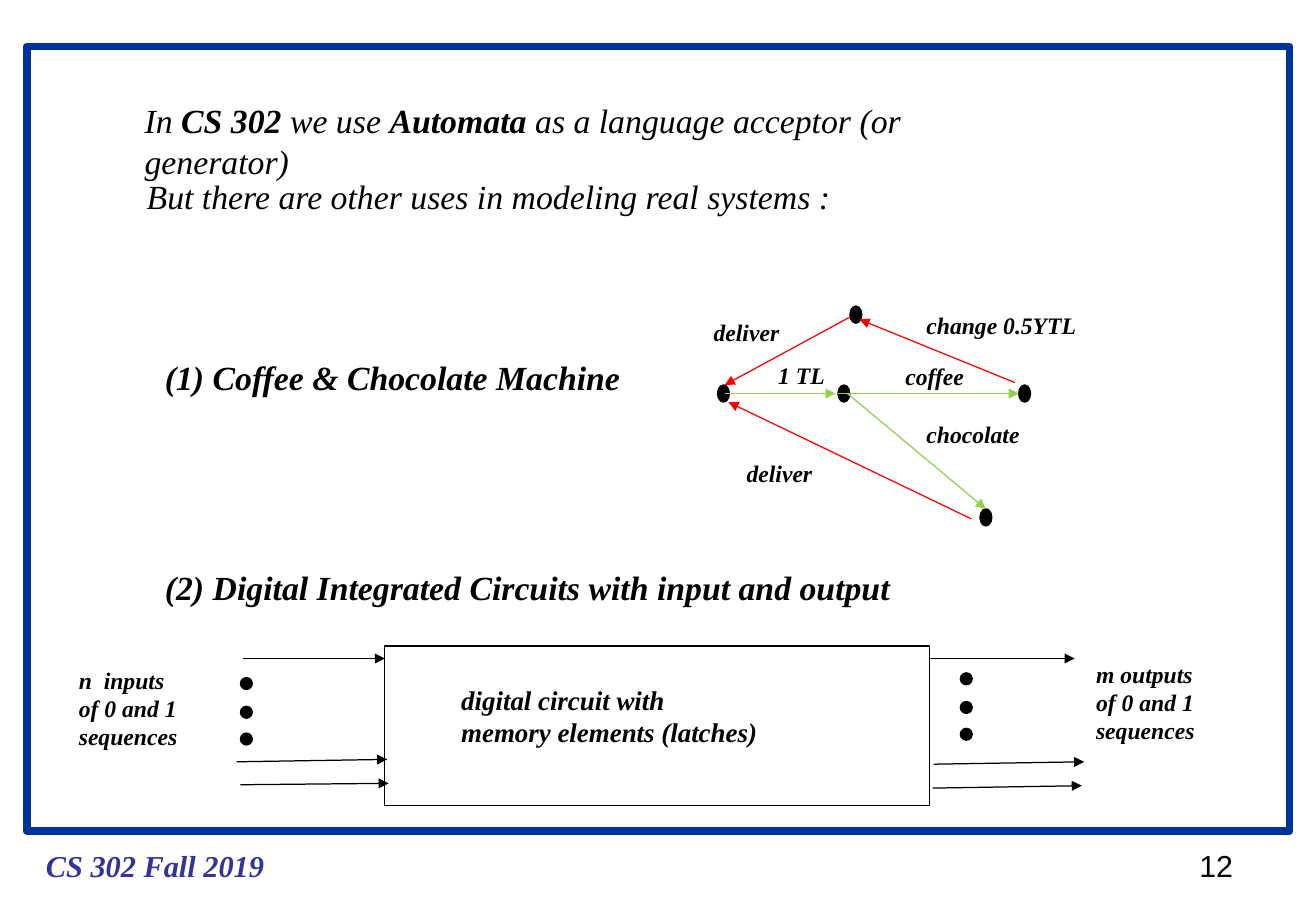
from typing import NamedTuple

from lxml.etree import SubElement
from pptx import Presentation
from pptx.dml.color import RGBColor
from pptx.enum.shapes import MSO_CONNECTOR as Link, MSO_SHAPE as Preset
from pptx.enum.text import MSO_ANCHOR, MSO_AUTO_SIZE, PP_ALIGN
from pptx.oxml.ns import qn
from pptx.util import Cm, Pt

BLACK, WHITE, RED, GREEN = "000000", "FFFFFF", "FF0000", "92D050"
NAVY, VIOLET = "003399", "333399"
SERIF, SANS = "Times New Roman", "Arial"


class Label(NamedTuple):
    """Text in a box; parts between asterisks are bold."""
    text: str
    left: float
    top: float
    width: float
    height: float = 0.86
    size: int = 14
    bold: bool = True
    italic: bool = True
    color: str = BLACK
    face: str = SERIF


class Arrow(NamedTuple):
    x1: float
    y1: float
    x2: float
    y2: float
    color: str = BLACK


class Dot(NamedTuple):
    left: float
    top: float
    height: float = 0.25


OPENING = Label("In *CS 302* we use *Automata *as a language acceptor (or generator)",
                2.77, 1.96, 19.53, 1.12, 20, bold=False)
LABELS = [
    Label("CS 302 Fall 2019", 0.71, 17.6, 5.08, 1.02, 18, color=VIOLET),
    Label("12", 24.84, 17.6, 1.22, 1.02, 18, False, False, face=SANS),
    Label("But there are other uses in modeling real systems :",
          2.82, 3.56, 14.88, 1.12, 20, bold=False),
    Label("(1) Coffee & Chocolate Machine", 3.2, 7.34, 10.03, 1.12, 20),
    Label("(2) Digital Integrated Circuits with input and output",
          3.2, 11.73, 15.7, 1.12, 20),
    Label("n  inputs\nof 0 and 1\nsequences", 1.4, 13.79, 2.57, 2.03),
    Label("digital circuit with\nmemory elements (latches)", 9.4, 14.17, 6.71, 1.63, 16),
    Label("m outputs\nof 0 and 1\nsequences", 22.68, 13.67, 2.57, 2.03),
    Label("1 TL", 16.03, 7.42, 1.47),
    Label("coffee", 18.69, 7.44, 1.73),
    Label("chocolate", 19.13, 8.66, 2.46),
    Label("change 0.5YTL", 19.13, 6.38, 3.63),
    Label("deliver", 15.37, 9.47, 1.88),
    Label("deliver", 14.68, 6.53, 1.88),
]
MACHINE_STATES = [Dot(left, top, 0.36) for left, top in (
    (15.01, 8.05), (17.53, 8.05), (21.31, 8.05), (20.5, 10.64), (17.78, 6.4))]
CIRCUIT_DOTS = [Dot(left, top + step)
                for left, top in ((5.03, 14.17), (20.09, 14.07))
                for step in (0, 0.6, 1.16)]
ARROWS = [
    # Coffee machine
    Arrow(15.16, 8.23, 17.48, 8.23, GREEN),
    Arrow(17.53, 8.23, 21.31, 8.23, GREEN),
    Arrow(17.73, 8.23, 20.62, 10.64, GREEN),
    Arrow(20.32, 10.85, 15.24, 8.41, RED),
    Arrow(21.23, 8, 17.98, 6.68, RED),
    Arrow(17.78, 6.63, 15.16, 8.05, RED),
    # Circuit inputs
    Arrow(5.08, 13.77, 8.05, 13.77),
    Arrow(4.95, 15.93, 8.1, 15.88),
    Arrow(5.03, 16.41, 8.13, 16.38),
    # Circuit outputs
    Arrow(19.46, 13.77, 22.48, 13.77),
    Arrow(19.53, 15.98, 22.68, 15.93),
    Arrow(19.51, 16.48, 22.63, 16.43),
]


def paint(target, color: str) -> None:
    """Give a fill a solid colour."""
    target.solid()
    target.fore_color.rgb = RGBColor.from_string(color)


def set_all(target, values: dict) -> None:
    for name, value in values.items():
        setattr(target, name, value)


def write(box, label: Label) -> None:
    set_all(box, dict(left=Cm(label.left), top=Cm(label.top),
                      width=Cm(label.width), height=Cm(label.height)))
    frame = box.text_frame
    set_all(frame, dict(word_wrap=False, auto_size=MSO_AUTO_SIZE.NONE,
                        vertical_anchor=MSO_ANCHOR.TOP))
    for number, line in enumerate(label.text.split("\n")):
        paragraph = frame.add_paragraph() if number else frame.paragraphs[0]
        paragraph.alignment = PP_ALIGN.LEFT
        for part, words in enumerate(line.split("*")):
            run = paragraph.add_run()
            run.text = words
            set_all(run.font, dict(name=label.face, size=Pt(label.size),
                                   bold=label.bold or part % 2 == 1,
                                   italic=label.italic))
            paint(run.font.fill, label.color)


def draw_shape(shapes, preset: Preset, left: float, top: float, width: float,
               height: float, fill: str | None, line: str = BLACK,
               weight: float = 0.75) -> None:
    shape = shapes.add_shape(preset, Cm(left), Cm(top), Cm(width), Cm(height))
    shape.shadow.inherit = False
    if fill:
        paint(shape.fill, fill)
    else:
        shape.fill.background()
    paint(shape.line.fill, line)
    shape.line.width = Pt(weight)


def draw_dots(shapes, dots: list[Dot]) -> None:
    for dot in dots:
        draw_shape(shapes, Preset.OVAL, dot.left, dot.top, 0.25, dot.height, BLACK)


def draw_arrow(shapes, arrow: Arrow) -> None:
    link = shapes.add_connector(Link.STRAIGHT, Cm(arrow.x1), Cm(arrow.y1),
                                Cm(arrow.x2), Cm(arrow.y2))
    paint(link.line.fill, arrow.color)
    link.line.width = Pt(0.75)
    properties = link.element.spPr
    SubElement(properties.find(qn("a:ln")), qn("a:tailEnd"), type="triangle")
    SubElement(properties, qn("a:effectLst"))


def main() -> None:
    deck = Presentation()
    deck.slide_width, deck.slide_height = Cm(27.53), Cm(19.05)
    slide = deck.slides.add_slide(deck.slide_layouts[5])
    shapes = slide.shapes

    # Page border and opening statement
    draw_shape(shapes, Preset.RECTANGLE, 0.56, 0.97, 26.42, 16.41, None, NAVY, 4.5)
    write(shapes.title, OPENING)

    # Coffee machine states and circuit block
    draw_dots(shapes, MACHINE_STATES)
    draw_shape(shapes, Preset.RECTANGLE, 8.05, 13.51, 11.4, 3.33, WHITE)
    draw_dots(shapes, CIRCUIT_DOTS)

    # Transitions and signals
    for arrow in ARROWS:
        draw_arrow(shapes, arrow)

    # Statements, labels and footer
    for label in LABELS:
        write(shapes.add_textbox(0, 0, 0, 0), label)

    deck.save("out.pptx")


if __name__ == "__main__":
    main()
